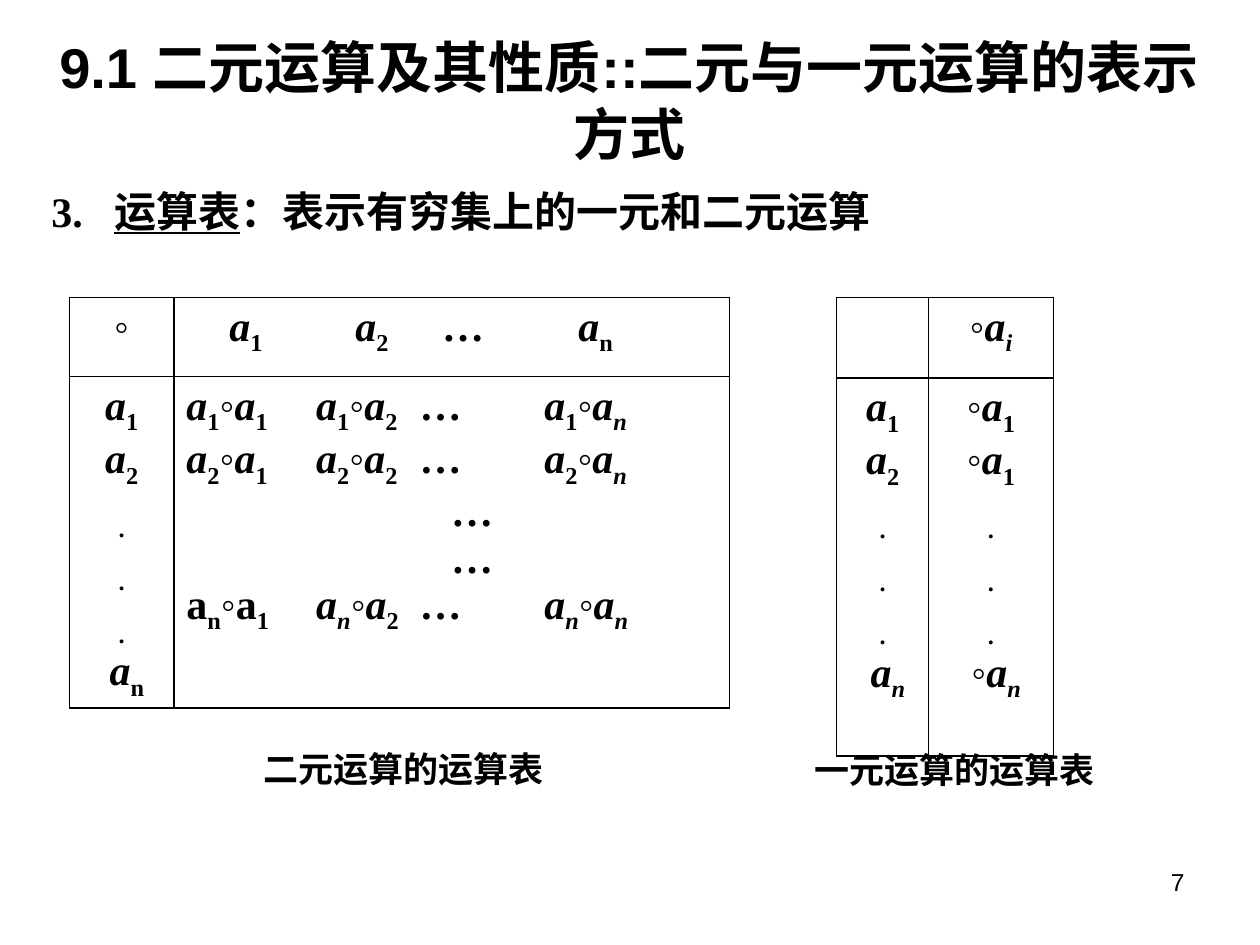
from lxml import etree
from pptx import Presentation, util as u
from pptx.dml.color import RGBColor
from pptx.enum import text
from pptx.oxml import ns

SERIF, SANS, CHINESE = "Times New Roman", "Arial", "Noto Sans CJK SC"
BLACK = "000000"
CENTER, LEFT, RIGHT = text.PP_ALIGN.CENTER, text.PP_ALIGN.LEFT, text.PP_ALIGN.RIGHT

# Markup: * toggles italic, ~ toggles underline, _ lowers the next character.
TEXTS = [
    ("~~9.1 二元运算及其性质::二元与一元运算的表示方式", (0.27, 0.21, 9.45, 1.18), 32, SANS, True, CENTER),
    ("3.\t~运算表~：表示有穷集上的一元和二元运算", (0.31, 1.42, 8.83, 0.55), 24, SERIF, True, LEFT),
    ("二元运算的运算表", (0.94, 5.88, 4.53, 0.44), 20, SANS, True, CENTER),
    ("一元运算的运算表", (5.31, 5.89, 4.53, 0.44), 20, SANS, True, CENTER),
    ("7", (7.17, 6.83, 2.33, 0.52), 14, SANS, False, RIGHT),
]
HEADER_TABS = (0.34, 1.34, 2.03, 3.11)
BODY_TABS = (1.03, 1.85, 2.84)
DOTS_TABS = (2.1,)
DOTS = ["_."] * 3

BINARY_ROWS = [
    [(["◦"], CENTER, []),
     (["\t*a*_1\t*a*_2\t…\t*a*_n"], LEFT, [HEADER_TABS])],
    [(["*a*_1", "*a*_2", *DOTS, " *a*_n"], CENTER, []),
     ([f"*a*_{i}◦*a*_1\t*a*_{i}◦*a*_2\t…\t*a*_{i}◦*a_n*" for i in (1, 2)]
      + ["\t…", "\t…", "a_n◦a_1\t*a_n*◦*a*_2\t…\t*a_n*◦*a_n*"],
      LEFT, [BODY_TABS, BODY_TABS, DOTS_TABS, DOTS_TABS, BODY_TABS])],
]
UNARY_ROWS = [
    [([""], CENTER, []), (["◦*a_i*"], CENTER, [])],
    [(["*a*_1", "*a*_2", *DOTS, " *a_n*"], CENTER, []),
     (["◦*a*_1", "◦*a*_1", *DOTS, " ◦*a_n*"], CENTER, [])],
]
TABLES = [
    (BINARY_ROWS, (0.55, 2.36), (0.83, 4.41), (0.63, 2.63)),
    (UNARY_ROWS, (6.64, 2.36), (0.73, 0.99), (0.64, 3.0)),
]


def color(value):
    return RGBColor.from_string(value)


def add_child(parent, tag, **attributes):
    return etree.SubElement(parent, ns.qn(tag), attributes)


def split_markup(markup):
    pieces, italic, underline, lowered = [], False, False, False
    for letter in markup:
        if letter == "*":
            italic = not italic
        elif letter == "~":
            underline = not underline
        elif letter == "_":
            lowered = True
        else:
            style = (italic, underline, lowered)
            if pieces and pieces[-1][1] == style:
                pieces[-1][0] += letter
            else:
                pieces.append([letter, style])
            lowered = False
    return pieces


def write(paragraph, markup, size, font_name, bold, alignment, tabs=()):
    paragraph.alignment = alignment
    font = paragraph.font
    font.size, font.name, font.bold = u.Pt(size), font_name, bold
    font.color.rgb = color(BLACK)
    font._element.find(ns.qn("a:latin")).addnext(
        etree.Element(ns.qn("a:ea"), typeface=CHINESE))
    if tabs:
        tab_list = etree.Element(ns.qn("a:tabLst"))
        for position in tabs:
            add_child(tab_list, "a:tab", pos=str(u.Inches(position)), algn="l")
        paragraph._p.get_or_add_pPr().insert(0, tab_list)
    for words, (italic, underline, lowered) in split_markup(markup):
        run = paragraph.add_run()
        run.text = words
        if italic:
            run.font.italic = True
        if underline:
            run.font.underline = True
        if lowered:
            run.font._element.set("baseline", "-25000")


def draw_borders(cell):
    properties = cell._tc.get_or_add_tcPr()
    for side in ("L", "R", "T", "B"):
        line = add_child(properties, f"a:ln{side}", w=str(u.Pt(1)))
        add_child(add_child(line, "a:solidFill"), "a:srgbClr", val=BLACK)
    cell.fill.background()


def add_text(slide, markup, box, size, font_name, bold, alignment):
    frame = slide.shapes.add_textbox(*map(u.Inches, box)).text_frame
    frame.word_wrap = True
    paragraph = frame.paragraphs[0]
    write(paragraph, markup, size, font_name, bold, alignment)
    if "\t" in markup:
        properties = paragraph._p.get_or_add_pPr()
        properties.set("marL", str(u.Inches(0.5)))
        properties.set("indent", str(u.Inches(-0.5)))


def add_operation_table(slide, rows, corner, widths, heights):
    size = (sum(widths), sum(heights))
    table = slide.shapes.add_table(
        len(rows), len(widths), *map(u.Inches, corner + size)).table
    table.first_row = table.horz_banding = False
    for column, width in zip(table.columns, widths):
        column.width = u.Inches(width)
    for row, height, contents in zip(table.rows, heights, rows):
        row.height = u.Inches(height)
        for cell, (lines, alignment, tabs) in zip(row.cells, contents):
            draw_borders(cell)
            frame = cell.text_frame
            for index, markup in enumerate(lines):
                paragraph = frame.add_paragraph() if index else frame.paragraphs[0]
                stops = tabs[index] if tabs else ()
                write(paragraph, markup, 24, SERIF, True, alignment, stops)


def main():
    presentation = Presentation()
    presentation.slide_width, presentation.slide_height = u.Inches(10), u.Inches(7.5)
    slide = presentation.slides.add_slide(presentation.slide_layouts[6])
    for item in TABLES:
        add_operation_table(slide, *item)
    for item in TEXTS:
        add_text(slide, *item)
    presentation.save("out.pptx")


if __name__ == "__main__":
    main()
